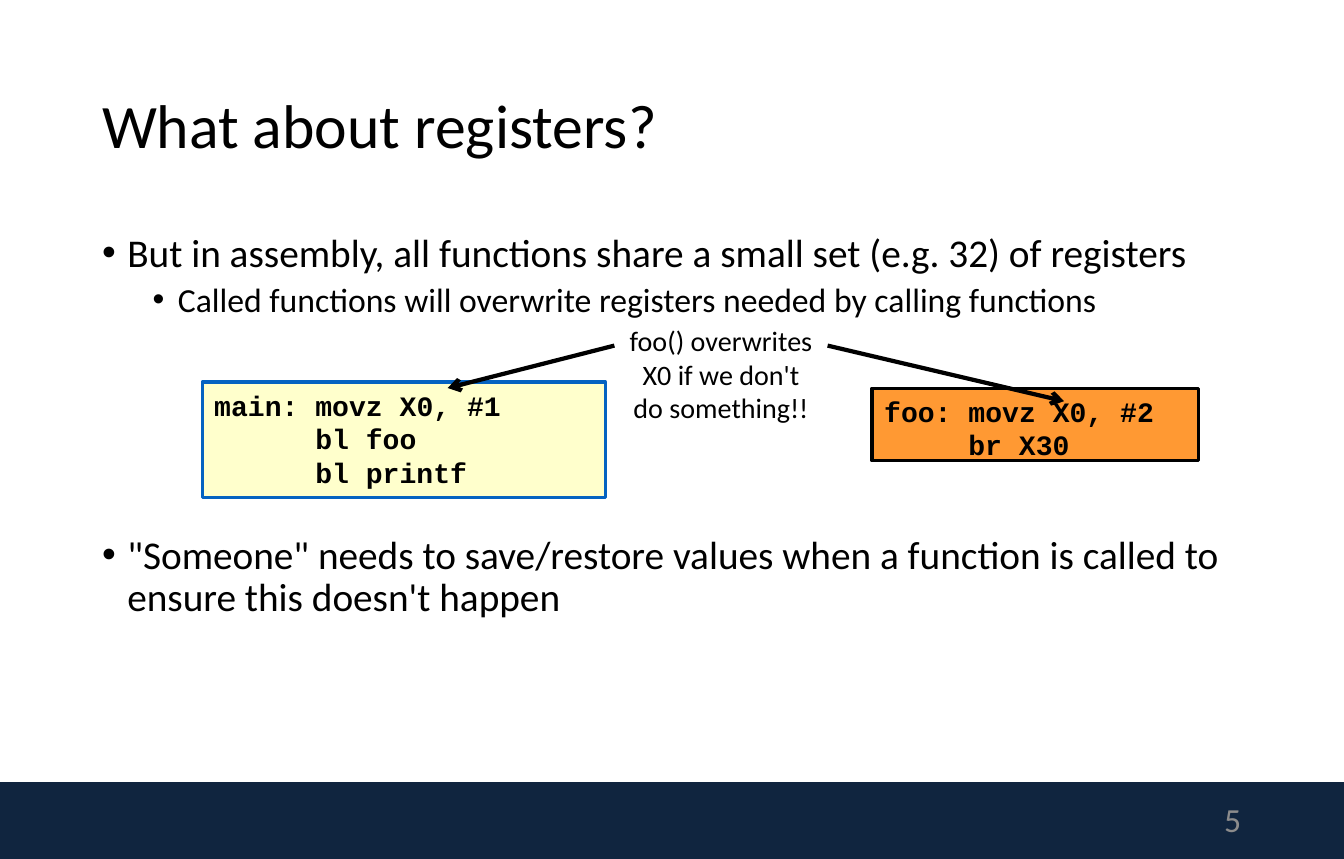
import pptx
import pptx.dml.color
import pptx.enum.shapes
import pptx.enum.text
import pptx.oxml
import pptx.oxml.ns
import pptx.util

RGBColor = pptx.dml.color.RGBColor
Align = pptx.enum.text.PP_ALIGN
Anchor = pptx.enum.text.MSO_ANCHOR
Pt = pptx.util.Pt

EMU_PER_PX = 9144  # 100 px to the inch

BLACK = RGBColor(0x00, 0x00, 0x00)
NAVY = RGBColor(0x10, 0x25, 0x3F)
BLUE = RGBColor(0x05, 0x63, 0xC1)
YELLOW = RGBColor(0xFF, 0xFF, 0xCC)
ORANGE = RGBColor(0xFF, 0x99, 0x33)
GRAY = RGBColor(0x8C, 0x8C, 0x8C)

CODE_CHARACTER_PX = 100 / 6  # advance of one 20 pt Courier New character


def px(length):
    return pptx.util.Emu(round(length * EMU_PER_PX))


def set_attributes(target, values):
    for name, value in values.items():
        setattr(target, name, value)


def append_xml(parent, tag, attributes=""):
    namespace = pptx.oxml.ns.nsdecls("a")
    parent.append(pptx.oxml.parse_xml(f"<a:{tag} {namespace} {attributes}/>"))


class SlideBuilder:
    body_font = {"name": "Calibri", "size": Pt(20), "bold": False}
    code_font = {"name": "Courier New", "size": Pt(20), "bold": True}
    padding = {"margin_left": px(12), "margin_right": px(12),
               "margin_top": px(6), "margin_bottom": px(6)}

    def __init__(self, slide):
        self.slide = slide

    def place(self, shape, box):
        names = ("left", "top", "width", "height")
        set_attributes(shape, dict(zip(names, map(px, box))))

    def add_run(self, paragraph, text, font, color=BLACK, **paragraph_format):
        set_attributes(paragraph, paragraph_format)
        run = paragraph.add_run()
        run.text = text
        set_attributes(run.font, font)
        run.font.color.rgb = color

    def indent(self, paragraph, left, first=0):
        properties = paragraph._p.get_or_add_pPr()
        properties.set("marL", str(px(left)))
        properties.set("indent", str(px(first)))
        return properties

    def frame(self, shape, **frame_format):
        text_frame = shape.text_frame
        set_attributes(text_frame, {
            "word_wrap": True,
            "auto_size": pptx.enum.text.MSO_AUTO_SIZE.NONE,
            **frame_format})
        return text_frame

    def title(self, text, box):
        shape = self.slide.shapes.title
        self.place(shape, box)
        text_frame = self.frame(shape, vertical_anchor=Anchor.MIDDLE)
        self.add_run(text_frame.paragraphs[0], text,
                     {**self.body_font, "size": Pt(44)},
                     alignment=Align.LEFT, line_spacing=0.9)

    def bullets(self, items, box):
        """Fill the body from (level, space before in points, text) items."""
        shape = self.slide.placeholders[1]
        self.place(shape, box)
        text_frame = self.frame(shape, vertical_anchor=Anchor.TOP)
        for index, (level, space, text) in enumerate(items):
            paragraph = text_frame.add_paragraph() if index else text_frame.paragraphs[0]
            self.add_run(paragraph, text,
                         {**self.body_font, "size": Pt(28 - 4 * level)},
                         level=level, line_spacing=0.9, space_before=Pt(space))
            properties = self.indent(paragraph, 25 + 50 * level, -25)
            append_xml(properties, "buFont", 'typeface="Arial"')
            append_xml(properties, "buChar", 'char="•"')

    def rectangle(self, box, fill, line=None):
        shape = self.slide.shapes.add_shape(
            pptx.enum.shapes.MSO_SHAPE.RECTANGLE, *map(px, box))
        shape.shadow.inherit = False
        shape.fill.solid()
        shape.fill.fore_color.rgb = fill
        if line is None:
            shape.line.fill.background()
        else:
            shape.line.color.rgb = line
            shape.line.width = Pt(2.25)
        return shape

    def code(self, label, instructions, box, fill, line):
        """Show instructions aligned in a column after the label."""
        shape = self.rectangle(box, fill, line)
        text_frame = self.frame(shape, vertical_anchor=Anchor.TOP, **self.padding)
        column = (len(label) + 1) * CODE_CHARACTER_PX
        for index, instruction in enumerate(instructions):
            if index:
                paragraph = text_frame.add_paragraph()
                self.indent(paragraph, column)
            else:
                paragraph = text_frame.paragraphs[0]
                instruction = f"{label} {instruction}"
            self.add_run(paragraph, instruction, self.code_font, alignment=Align.LEFT)

    def text(self, text, box, size, color, alignment, **frame_format):
        shape = self.slide.shapes.add_textbox(*map(px, box))
        text_frame = self.frame(shape, **frame_format)
        self.add_run(text_frame.paragraphs[0], text,
                     {**self.body_font, "size": Pt(size)}, color, alignment=alignment)

    def arrow(self, start, end):
        connector = self.slide.shapes.add_connector(
            pptx.enum.shapes.MSO_CONNECTOR.STRAIGHT, *map(px, start + end))
        connector.line.color.rgb = BLACK
        connector.line.width = Pt(3)
        properties = connector._element.spPr
        append_xml(properties.find(pptx.oxml.ns.qn("a:ln")), "tailEnd", 'type="arrow"')
        append_xml(properties, "effectLst")


def main():
    presentation = pptx.Presentation()
    set_attributes(presentation, {"slide_width": px(1330), "slide_height": px(850)})
    builder = SlideBuilder(presentation.slides.add_slide(presentation.slide_layouts[1]))

    builder.rectangle((0, 774, 1330, 76), NAVY)
    builder.title("What about registers?", (91, 45, 1147, 164))
    builder.bullets([
        (0, 10, "But in assembly, all functions share a small set (e.g. 32) of registers"),
        (1, 5, "Called functions will overwrite registers needed by calling functions"),
        (0, 154, "\"Someone\" needs to save/restore values when a function is called "
                 "to ensure this doesn't happen"),
    ], (91, 226, 1147, 539))

    builder.code("main:", ["movz X0, #1", "bl foo", "bl printf"],
                 (200, 378, 399, 114), YELLOW, BLUE)
    builder.code("foo:", ["movz X0, #2", "br X30"],
                 (863, 384, 323, 72), ORANGE, BLACK)

    builder.text("foo() overwrites X0 if we don't do something!!",
                 (608, 314, 211, 114), 20, BLACK, Align.CENTER, **builder.padding)
    builder.arrow((608, 342), (443, 384))
    builder.arrow((819, 342), (1053, 397))

    builder.text("5", (939, 788, 299, 45), 24, GRAY, Align.RIGHT,
                 vertical_anchor=Anchor.MIDDLE)
    presentation.save("out.pptx")


if __name__ == "__main__":
    main()
